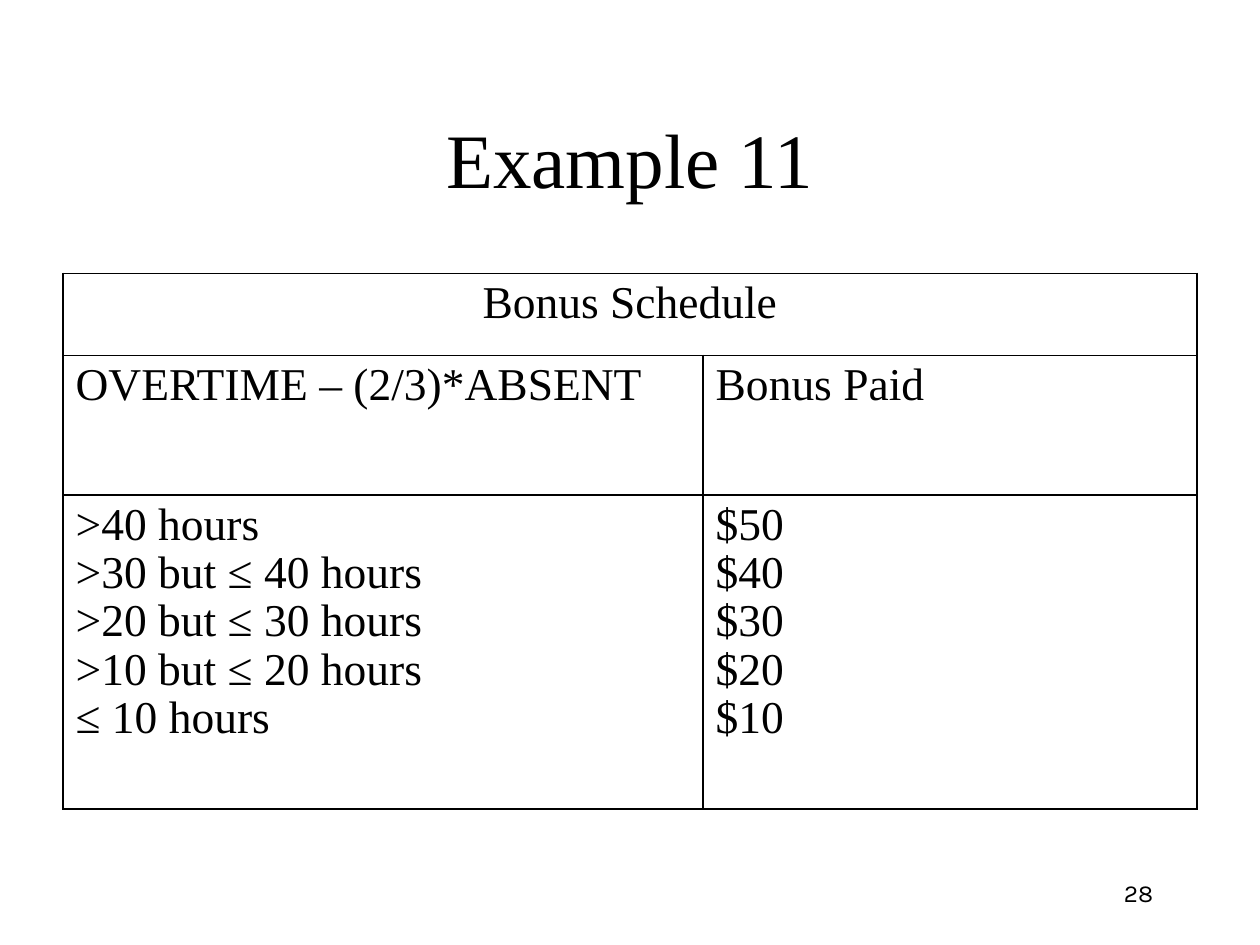
from lxml import etree
from pptx import Presentation
from pptx import util as u
from pptx.dml.color import RGBColor
from pptx.enum import text
from pptx.oxml import ns

PX = 9144  # 100 px to the inch
BLACK = RGBColor(0x00, 0x00, 0x00)
WHITE = RGBColor(0xFF, 0xFF, 0xFF)
SERIF, SANS = "Times New Roman", "Karla"

COLUMN_WIDTHS = [508, 392]
ROW_HEIGHTS = [65, 111, 249]
BONUSES = [
    (">40 hours", "$50"),
    (">30 but ≤ 40 hours", "$40"),
    (">20 but ≤ 30 hours", "$30"),
    (">10 but ≤ 20 hours", "$20"),
    ("≤ 10 hours", "$10"),
]


def px(*lengths):
    return [u.Emu(length * PX) for length in lengths]


def format_text(frame, font, size, align):
    for paragraph in frame.paragraphs:
        paragraph.alignment = align
        for run in paragraph.runs:
            run.font.name = font
            run.font.size = u.Pt(size)
            run.font.color.rgb = BLACK


def add_borders(cell):
    properties = cell._tc.get_or_add_tcPr()
    for side in ("a:lnL", "a:lnR", "a:lnT", "a:lnB"):
        line = etree.SubElement(properties, ns.qn(side), w=str(u.Pt(1)))
        fill = etree.SubElement(line, ns.qn("a:solidFill"))
        etree.SubElement(fill, ns.qn("a:srgbClr"), val=str(BLACK))


def place_title(slide, left, top, width, height):
    title = slide.shapes.title
    title.left, title.top, title.width, title.height = px(left, top, width, height)
    title.text_frame.text = "Example 11"
    title.text_frame.vertical_anchor = text.MSO_ANCHOR.MIDDLE
    format_text(title.text_frame, SERIF, 44, text.PP_ALIGN.CENTER)


def fill_cell(cell, content, align=text.PP_ALIGN.LEFT):
    cell.text_frame.text = content
    format_text(cell.text_frame, SERIF, 26, align)
    for paragraph in cell.text_frame.paragraphs:
        paragraph.line_spacing = 0.96
        # Hanging indent
        properties = paragraph._p.get_or_add_pPr()
        properties.set("marL", str(38 * PX))
        properties.set("indent", str(-38 * PX))


def add_bonus_table(slide, left, top):
    box = px(left, top, sum(COLUMN_WIDTHS), sum(ROW_HEIGHTS))
    table = slide.shapes.add_table(len(ROW_HEIGHTS), len(COLUMN_WIDTHS), *box).table
    table.first_row = table.horz_banding = False
    for column, width in zip(table.columns, px(*COLUMN_WIDTHS)):
        column.width = width
    for row, height in zip(table.rows, px(*ROW_HEIGHTS)):
        row.height = height
    for cell in table.iter_cells():
        add_borders(cell)
        cell.fill.background()

    # Heading across both columns
    table.cell(0, 0).merge(table.cell(0, 1))
    fill_cell(table.cell(0, 0), "Bonus Schedule", text.PP_ALIGN.CENTER)

    # Column headings and the lists below them
    headings = ["OVERTIME – (2/3)*ABSENT", "Bonus Paid"]
    for index, (heading, entries) in enumerate(zip(headings, zip(*BONUSES))):
        fill_cell(table.cell(1, index), heading)
        fill_cell(table.cell(2, index), "\n".join(entries))


def add_page_number(slide, left, top, width, height):
    frame = slide.shapes.add_textbox(*px(left, top, width, height)).text_frame
    frame.word_wrap = True
    frame.text = "28"
    format_text(frame, SANS, 14, text.PP_ALIGN.RIGHT)


def main():
    presentation = Presentation()
    presentation.slide_width, presentation.slide_height = px(1000, 750)
    slide = presentation.slides.add_slide(presentation.slide_layouts[5])
    slide.background.fill.solid()
    slide.background.fill.fore_color.rgb = WHITE
    place_title(slide, 50, 50, 900, 150)
    add_bonus_table(slide, 50, 217)
    add_page_number(slide, 717, 692, 208, 42)
    presentation.save("out.pptx")


if __name__ == "__main__":
    main()
